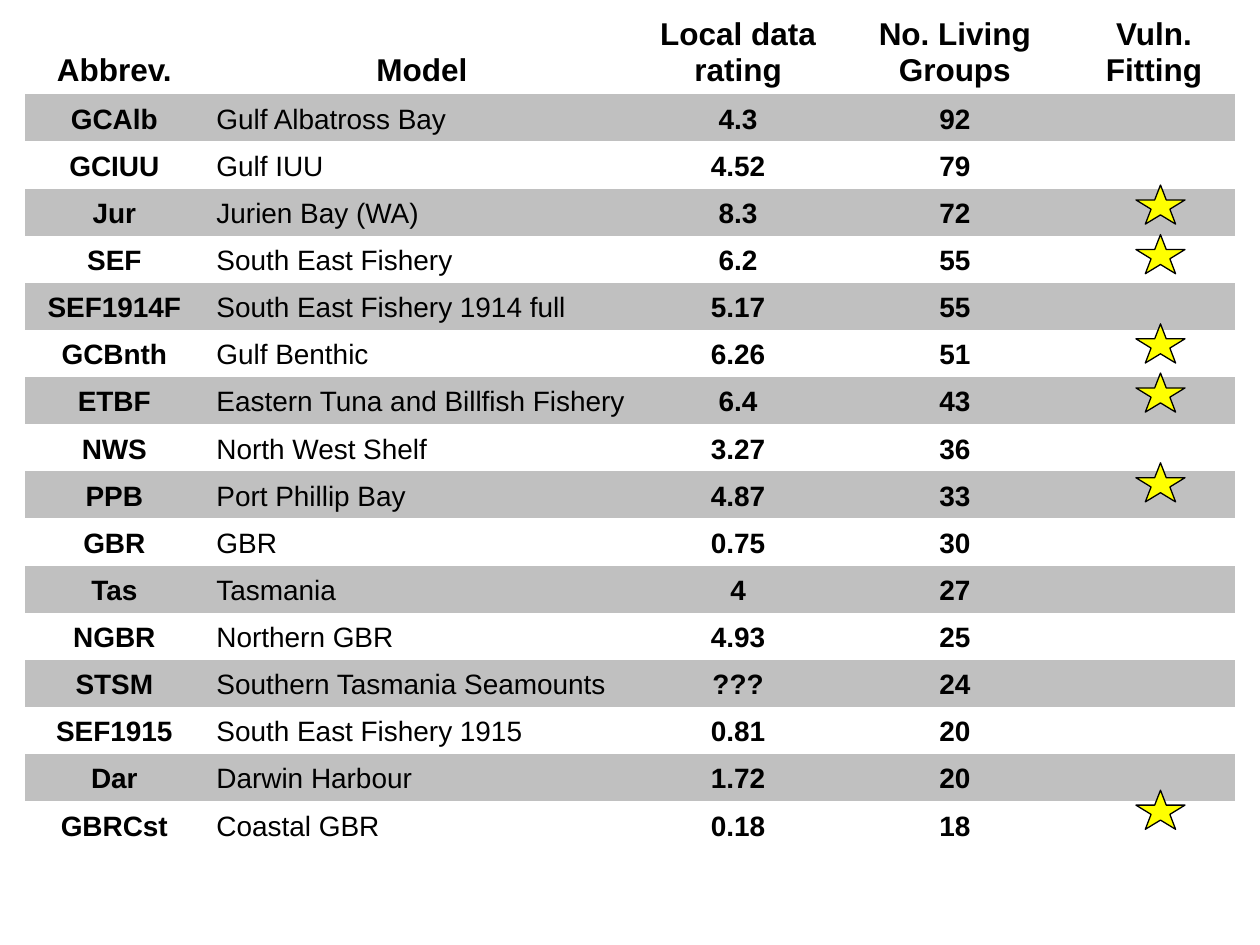
from lxml.etree import SubElement
from pptx import Presentation
from pptx.dml.color import RGBColor
from pptx.enum.shapes import MSO_SHAPE
from pptx.enum.text import MSO_ANCHOR, PP_ALIGN
from pptx.oxml.ns import qn
from pptx.util import Cm, Pt

BLACK = RGBColor(0x00, 0x00, 0x00)
SILVER = RGBColor(0xC0, 0xC0, 0xC0)
YELLOW = RGBColor(0xFF, 0xFF, 0x00)

PLAIN_TABLE_STYLE = "{2D5ABB26-0587-4C30-8999-92F81FD0307C}"
COLUMN_WIDTHS = [3.61, 8.79, 3.96, 4.78, 3.25]
HEADER_HEIGHT = 1.77
ROW_HEIGHT = 0.95
MODEL_COLUMN = 1

HEADINGS = ["Abbrev.", "Model", "Local data rating", "No. Living Groups", "Vuln. Fitting"]
MODELS = [
    ["GCAlb", "Gulf Albatross Bay", "4.3", "92", ""],
    ["GCIUU", "Gulf IUU", "4.52", "79", ""],
    ["Jur", "Jurien Bay (WA)", "8.3", "72", ""],
    ["SEF", "South East Fishery", "6.2", "55", ""],
    ["SEF1914F", "South East Fishery 1914 full", "5.17", "55", ""],
    ["GCBnth", "Gulf Benthic", "6.26", "51", ""],
    ["ETBF", "Eastern Tuna and Billfish Fishery", "6.4", "43", ""],
    ["NWS", "North West Shelf", "3.27", "36", ""],
    ["PPB", "Port Phillip Bay", "4.87", "33", ""],
    ["GBR", "GBR", "0.75", "30", ""],
    ["Tas", "Tasmania", "4", "27", ""],
    ["NGBR", "Northern GBR", "4.93", "25", ""],
    ["STSM", "Southern Tasmania Seamounts", "???", "24", ""],
    ["SEF1915", "South East Fishery 1915", "0.81", "20", ""],
    ["Dar", "Darwin Harbour", "1.72", "20", ""],
    ["GBRCst", "Coastal GBR", "0.18", "18", ""],
]

# Star tops below the top of the table: SEF, Jur, GCBnth, ETBF, PPB, GBRCst
STAR_TOPS = [4.6, 3.6, 6.4, 7.39, 9.2, 15.8]
STAR_LEFT = 22.4
STAR_WIDTH, STAR_HEIGHT = 0.99, 0.79

HEADING_FORMAT = {"size": Pt(18), "bold": True, "name": "Arial"}
VALUE_FORMAT = {"size": Pt(16), "bold": True, "name": "Arial"}
MODEL_FORMAT = {"size": Pt(16), "bold": False, "name": "Arial"}


def fill_cell(cell, text, font_format, align, color):
    cell.vertical_anchor = MSO_ANCHOR.BOTTOM
    if color is None:
        cell.fill.background()
    else:
        cell.fill.solid()
        cell.fill.fore_color.rgb = color
    para = cell.text_frame.paragraphs[0]
    para.alignment = align
    if not text:
        # Keeps an empty cell from growing its row at the default text size
        size = str(int(font_format["size"].pt * 100))
        SubElement(para._p, qn("a:endParaRPr"), sz=size)
        return
    span = para.add_run()
    span.text = text
    for name, value in font_format.items():
        setattr(span.font, name, value)
    span.font.color.rgb = BLACK


def add_model_table(page, left, top, width, height):
    frame = page.shapes.add_table(
        len(MODELS) + 1, len(HEADINGS), Cm(left), Cm(top), Cm(width), Cm(height))
    table = frame.table
    table.first_row = table.horz_banding = False
    table._tbl.tblPr.find(qn("a:tableStyleId")).text = PLAIN_TABLE_STYLE
    for column, column_width in zip(table.columns, COLUMN_WIDTHS):
        column.width = Cm(column_width)

    for row_index, values in enumerate([HEADINGS] + MODELS):
        is_header = row_index == 0
        table.rows[row_index].height = Cm(HEADER_HEIGHT if is_header else ROW_HEIGHT)
        color = SILVER if row_index % 2 else None
        for column_index, text in enumerate(values):
            font_format, align = VALUE_FORMAT, PP_ALIGN.CENTER
            if is_header:
                font_format = HEADING_FORMAT
            elif column_index == MODEL_COLUMN:
                font_format, align = MODEL_FORMAT, PP_ALIGN.LEFT
            fill_cell(table.cell(row_index, column_index), text, font_format, align, color)


def add_fitting_stars(page, left, top):
    """Mark the models with fitted vulnerabilities, relative to the table corner."""
    for star_top in STAR_TOPS:
        star = page.shapes.add_shape(
            MSO_SHAPE.STAR_5_POINT, Cm(left + STAR_LEFT), Cm(top + star_top),
            Cm(STAR_WIDTH), Cm(STAR_HEIGHT))
        star.shadow.inherit = False
        star.fill.solid()
        star.fill.fore_color.rgb = YELLOW
        star.line.color.rgb = BLACK
        star.line.width = Pt(0.75)


def main():
    deck = Presentation()
    deck.slide_width, deck.slide_height = Cm(25.4), Cm(19.05)
    page = deck.slides.add_slide(deck.slide_layouts[6])
    left, top = 0.5, 0.13
    height = HEADER_HEIGHT + len(MODELS) * ROW_HEIGHT
    add_model_table(page, left, top, sum(COLUMN_WIDTHS), height)
    add_fitting_stars(page, left, top)
    deck.save("out.pptx")


if __name__ == "__main__":
    main()
